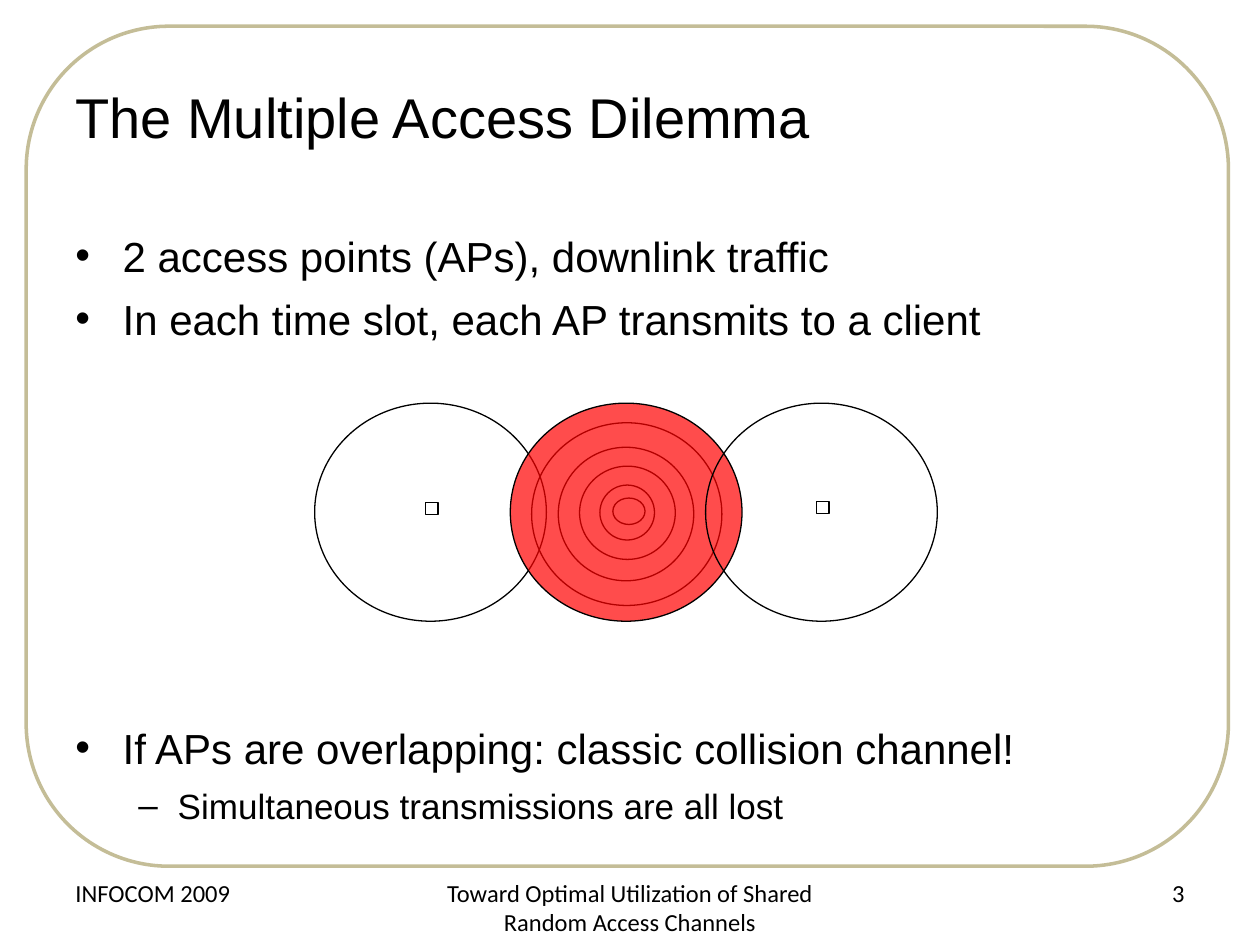
from dataclasses import dataclass
from typing import Any, Optional

from lxml import etree
from pptx import Presentation
from pptx.dml import color as c
from pptx.enum import shapes as s, text as t
from pptx.oxml import ns
from pptx.util import Pt

BLACK = c.RGBColor(0, 0, 0)
RED = c.RGBColor(255, 0, 0)
TAN = c.RGBColor(0xC4, 0xBD, 0x97)
OVAL = s.MSO_SHAPE.OVAL
RECT = s.MSO_SHAPE.RECTANGLE
ROUND = s.MSO_SHAPE.ROUNDED_RECTANGLE
LEFT, MID, RIGHT = t.PP_ALIGN.LEFT, t.PP_ALIGN.CENTER, t.PP_ALIGN.RIGHT


@dataclass
class Form:
    kind: Any
    x: float
    y: float
    w: float
    h: float
    fill: Optional[c.RGBColor] = None
    alpha: int = 100
    line: c.RGBColor = BLACK
    width: float = 0.75


@dataclass
class Para:
    text: str
    size: float
    face: str = "Arial"
    align: Any = LEFT
    before: float = 0
    mark: str = ""
    level: int = 0
    left: float = 0
    hang: float = 0


@dataclass
class Box:
    x: float
    y: float
    w: float
    h: float
    paras: list[Para]
    anchor: Any = t.MSO_ANCHOR.TOP


def put(item: Any, form: dict[str, Any]) -> None:
    for name, value in form.items():
        setattr(item, name, value)


def draw_form(slide: Any, form: Form) -> Any:
    shape = slide.shapes.add_shape(
        form.kind, Pt(form.x), Pt(form.y), Pt(form.w), Pt(form.h))
    shape.shadow.inherit = False
    shape.line.color.rgb = form.line
    shape.line.width = Pt(form.width)
    if form.fill is None:
        shape.fill.background()
        return shape
    shape.fill.solid()
    shape.fill.fore_color.rgb = form.fill
    tint = shape.fill._xPr.find(".//" + ns.qn("a:srgbClr"))
    etree.SubElement(tint, ns.qn("a:alpha"), val=str(form.alpha * 1000))
    return shape


def add_mark(para: Any, row: Para) -> None:
    props = para._p.get_or_add_pPr()
    props.set("marL", str(Pt(row.left)))
    props.set("indent", str(-Pt(row.hang)))
    etree.SubElement(props, ns.qn("a:buFont"), typeface=row.face)
    etree.SubElement(props, ns.qn("a:buChar"), char=row.mark)


def draw_box(slide: Any, box: Box) -> None:
    frame = slide.shapes.add_textbox(
        Pt(box.x), Pt(box.y), Pt(box.w), Pt(box.h)).text_frame
    put(frame, {"word_wrap": True, "vertical_anchor": box.anchor})
    for i, row in enumerate(box.paras):
        para = frame.add_paragraph() if i else frame.paragraphs[0]
        put(para, {"alignment": row.align, "level": row.level,
                   "space_before": Pt(row.before)})
        if row.mark:
            add_mark(para, row)
        run = para.add_run()
        run.text = row.text
        put(run.font, {"size": Pt(row.size), "name": row.face})
        run.font.color.rgb = BLACK


def bullet(text: str, before: float = 0) -> Para:
    return Para(text, 24, before=before, mark="•", left=27, hang=27)


def foot(x: float, w: float, text: str, align: Any) -> Box:
    return Box(x, 498, w, 37.5, [Para(text, 14, "Calibri", align)])


def cell(x: float, fill: Optional[c.RGBColor] = None, alpha: int = 100) -> Form:
    return Form(OVAL, x, 230.4, 132.4, 124.6, fill, alpha)


def node(x: float, y: float) -> Form:
    return Form(RECT, x, y, 7.2, 7.2)


def ring(x: float, y: float, w: float, h: float) -> Form:
    return Form(OVAL, x, y, w, h)


FORMS = [
    ring(303.8, 241.6, 108.7, 104.4),
    node(243.2, 287),
    ring(319, 255.6, 77.4, 76.3),
    ring(331.2, 266.4, 54.7, 53.3),
    ring(342.8, 277.2, 31.2, 31.4),
    ring(350.2, 284.6, 18.4, 15.1),
    cell(179.8),
    cell(291.6, RED, 70),
    node(466.6, 286.4),
    cell(403.2),
]

BOXES = [
    Box(36, 21.6, 648, 90, [Para("The Multiple Access Dilemma", 32)],
        t.MSO_ANCHOR.MIDDLE),
    Box(36, 128, 648, 354, [
        bullet("2 access points (APs), downlink traffic"),
        bullet("In each time slot, each AP transmits to a client", 7.2),
        bullet("If APs are overlapping: classic collision channel!", 216.4),
        Para("Simultaneous transmissions are all lost", 20, before=6.6,
             mark="–", level=1, left=58.5, hang=22.5),
    ]),
    foot(246, 228, "Toward Optimal Utilization of Shared Random Access Channels", MID),
    foot(516, 168, "3", RIGHT),
    foot(36, 168, "INFOCOM 2009", LEFT),
]


def main() -> None:
    deck = Presentation()
    put(deck, {"slide_width": Pt(720), "slide_height": Pt(540)})
    slide = deck.slides.add_slide(deck.slide_layouts[6])
    frame = draw_form(slide, Form(ROUND, 15, 15, 687, 480, line=TAN, width=2))
    frame.adjustments[0] = 0.17
    for form in FORMS:
        draw_form(slide, form)
    for box in BOXES:
        draw_box(slide, box)
    deck.save("out.pptx")


if __name__ == "__main__":
    main()
